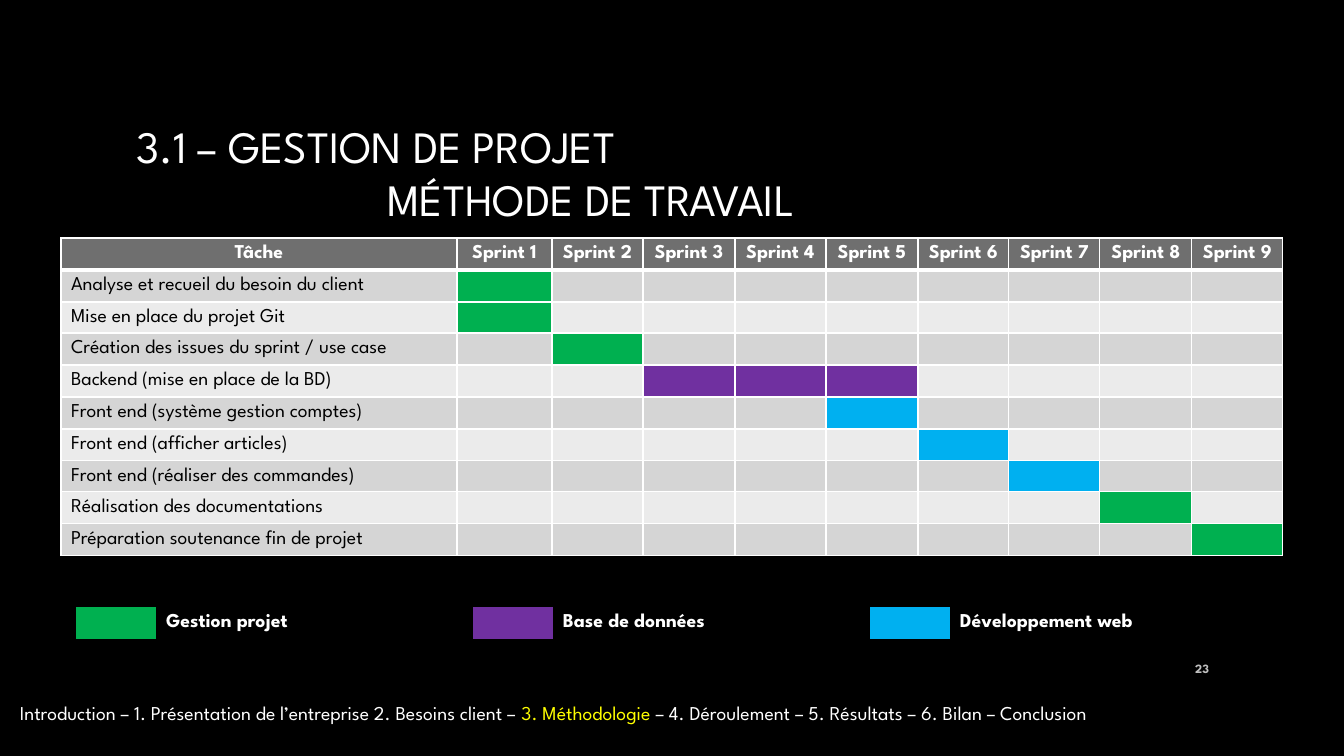
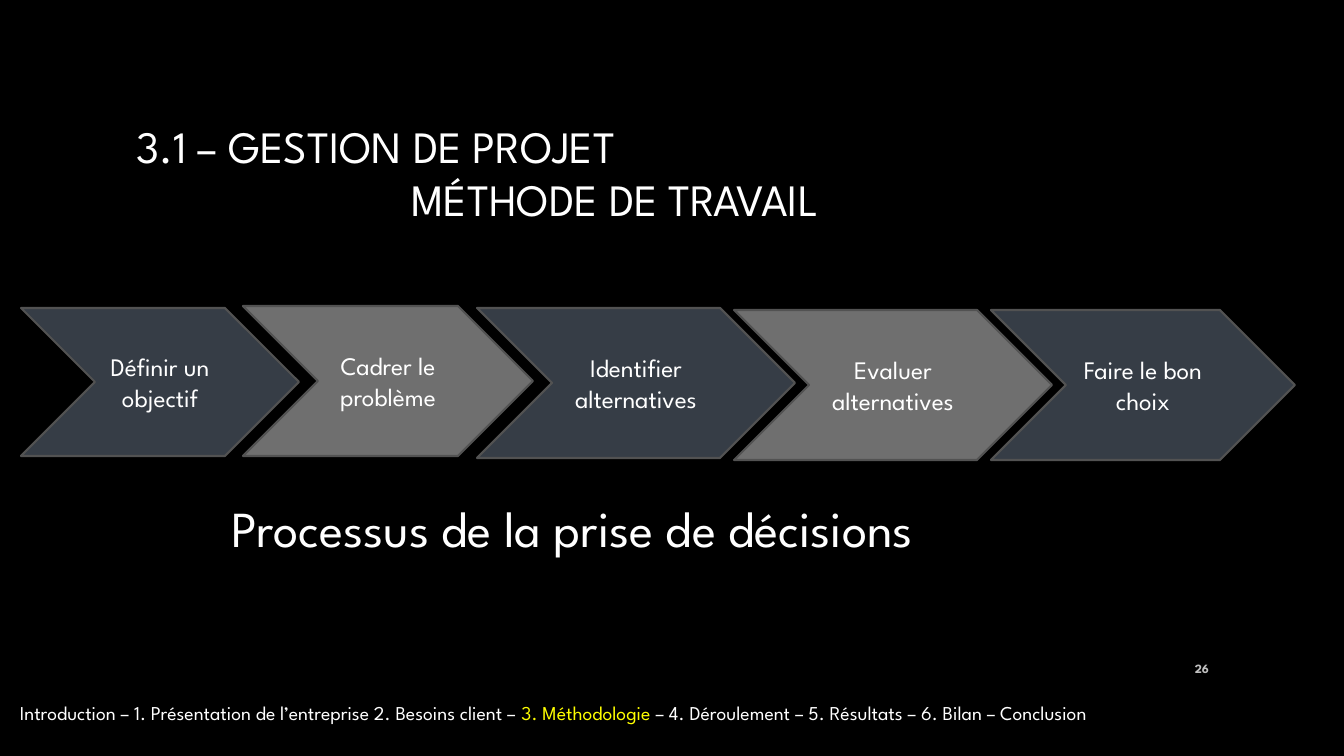
from dataclasses import dataclass

from lxml import etree
from pptx import Presentation
from pptx import util as u
from pptx.dml.color import RGBColor
from pptx.enum import shapes, text
from pptx.oxml.ns import qn

PX = 12700 * 5 / 7  # EMU in one px, at 100.8 px to the inch
WIDTH, HEIGHT = 1344, 756
PLAIN_TABLE = "{2D5ABB26-0587-4C30-8999-92F81FD0307C}"


@dataclass(frozen=True)
class Theme:
    font: str = "League Spartan"
    back: str = "000000"
    light: str = "FFFFFF"
    dark: str = "000000"
    current: str = "FFFF00"
    muted: str = "BFBFBF"
    header: str = "6F6F6F"
    bands: tuple = ("D5D5D5", "EBEBEB")
    steps: tuple = ("363D46", "6F6F6F")
    step_line: str = "525252"
    management: str = "00B050"
    database: str = "7030A0"
    web: str = "00B0F0"
    title_size: int = 32
    caption_size: int = 36
    step_size: int = 18
    text_size: int = 14
    number_size: int = 9


THEME = Theme()
LEFT, CENTER, RIGHT = text.PP_ALIGN.LEFT, text.PP_ALIGN.CENTER, text.PP_ALIGN.RIGHT
TOP, MIDDLE, BOTTOM = (text.MSO_ANCHOR.TOP, text.MSO_ANCHOR.MIDDLE,
                       text.MSO_ANCHOR.BOTTOM)


def px(length):
    return u.Emu(round(length * PX))


def rgb(color):
    return RGBColor.from_string(color)


def split(total, count):
    """Whole px parts that add up to total."""
    edges = [round(total * i / count) for i in range(count + 1)]
    return [end - start for start, end in zip(edges, edges[1:])]


class Deck:
    def __init__(self, theme):
        self.theme = theme
        self.deck = Presentation()
        self.deck.slide_width, self.deck.slide_height = px(WIDTH), px(HEIGHT)
        fill = self.deck.slide_master.background.fill
        fill.solid()
        fill.fore_color.rgb = rgb(theme.back)
        self.page = None

    def new_page(self, number, subtitle_indent):
        self.page = self.deck.slides.add_slide(self.deck.slide_layouts[5])
        self.title(["3.1 – GESTION DE PROJET", "MÉTHODE DE TRAVAIL"], subtitle_indent)
        self.text_box((1159, 648, 60, 40), [(str(number), self.theme.muted)],
                      self.theme.number_size, RIGHT, MIDDLE, bold=True)
        self.text_box((10, 697, 1315, 32), [
            ("Introduction – 1. Présentation de l’entreprise 2. Besoins client – ",
             self.theme.light),
            ("3. Méthodologie ", self.theme.current),
            ("– 4. Déroulement – 5. Résultats – 6. Bilan – Conclusion",
             self.theme.light),
        ], self.theme.text_size, anchor=BOTTOM)

    def add_spans(self, para, spans, size, align=LEFT, bold=False):
        para.alignment = align
        for words, color in spans:
            span = para.add_run()
            span.text = words
            span.font.name = self.theme.font
            span.font.size = u.Pt(size)
            span.font.bold = bold
            span.font.color.rgb = rgb(color)

    def title(self, lines, indent):
        box = self.page.shapes.title
        box.left, box.top, box.width, box.height = map(px, (126, 67, 1092, 210))
        frame = box.text_frame
        frame.vertical_anchor = MIDDLE
        for i, line in enumerate(lines):
            para = frame.add_paragraph() if i else frame.paragraphs[0]
            para._p.get_or_add_pPr().set("marL", str(px(indent * i)))
            self.add_spans(para, [(line, self.theme.light)], self.theme.title_size)

    def text_box(self, area, spans, size, align=LEFT, anchor=TOP, bold=False):
        frame = self.page.shapes.add_textbox(*map(px, area)).text_frame
        frame.word_wrap = True
        frame.vertical_anchor = anchor
        self.add_spans(frame.paragraphs[0], spans, size, align, bold)

    def chevron(self, area, words, color):
        box = self.page.shapes.add_shape(shapes.MSO_SHAPE.CHEVRON, *map(px, area))
        box.shadow.inherit = False
        box.fill.solid()
        box.fill.fore_color.rgb = rgb(color)
        box.line.color.rgb = rgb(self.theme.step_line)
        box.line.width = u.Pt(1.5)
        box.text_frame.word_wrap = True
        box.text_frame.vertical_anchor = MIDDLE
        self.add_spans(box.text_frame.paragraphs[0], [(words, self.theme.light)],
                       self.theme.step_size, CENTER)

    def table(self, left, top, widths, heights):
        frame = self.page.shapes.add_table(
            len(heights), len(widths),
            *map(px, (left, top, sum(widths), sum(heights))))
        table = frame.table
        table.first_row = table.horz_banding = False
        table._tbl.tblPr.find(qn("a:tableStyleId")).text = PLAIN_TABLE
        for column, width in zip(table.columns, widths):
            column.width = px(width)
        for row, height in zip(table.rows, heights):
            row.height = px(height)
        return table

    def cell(self, cell, words="", fill=None, color=None, align=LEFT, bold=False):
        cell.margin_top = cell.margin_bottom = 0
        cell.vertical_anchor = MIDDLE
        if fill:
            cell.fill.solid()
            cell.fill.fore_color.rgb = rgb(fill)
        else:
            cell.fill.background()
        para = cell.text_frame.paragraphs[0]
        if words:
            self.add_spans(para, [(words, color)], self.theme.text_size, align, bold)
        else:
            etree.SubElement(para._p, qn("a:endParaRPr"),
                             sz=str(self.theme.text_size * 100))

    def borders(self, cell, top=1, bottom=1):
        """Draw the four cell borders, with widths in points."""
        properties = cell._tc.get_or_add_tcPr()
        sides = (("L", 1), ("R", 1), ("T", top), ("B", bottom))
        for i, (side, width) in enumerate(sides):
            line = etree.Element(qn(f"a:ln{side}"), w=str(u.Pt(width)))
            fill = etree.SubElement(line, qn("a:solidFill"))
            etree.SubElement(fill, qn("a:srgbClr"), val=self.theme.light)
            properties.insert(i, line)

    def gantt(self, tasks, sprints):
        """Each task is its name, first sprint, last sprint and colour."""
        theme = self.theme
        table = self.table(61, 238, [396, 95] + split(731, sprints - 1),
                           split(318, len(tasks) + 1))
        headings = ["Tâche"] + [f"Sprint {i}" for i in range(1, sprints + 1)]
        for column, heading in enumerate(headings):
            cell = table.cell(0, column)
            self.cell(cell, heading, theme.header, theme.light, CENTER, bold=True)
            self.borders(cell, bottom=3)
        for row, (name, first, last, color) in enumerate(tasks, 1):
            band = theme.bands[(row - 1) % 2]
            for column in range(sprints + 1):
                cell = table.cell(row, column)
                self.cell(cell, "" if column else name,
                          color if first <= column <= last else band, theme.dark)
                self.borders(cell, top=3 if row == 1 else 1)

    def legend(self, entries):
        table = self.table(76, 607, [80, 317] * len(entries), [32])
        for i, (label, color) in enumerate(entries):
            self.cell(table.cell(0, 2 * i), fill=color)
            self.cell(table.cell(0, 2 * i + 1), label, color=self.theme.light,
                      bold=True)


def planning_page(deck):
    theme = deck.theme
    deck.new_page(23, subtitle_indent=251)
    deck.gantt([
        ("Analyse et recueil du besoin du client", 1, 1, theme.management),
        ("Mise en place du projet Git", 1, 1, theme.management),
        ("Création des issues du sprint / use case", 2, 2, theme.management),
        ("Backend (mise en place de la BD)", 3, 5, theme.database),
        ("Front end (système gestion comptes)", 5, 5, theme.web),
        ("Front end (afficher articles)", 6, 6, theme.web),
        ("Front end (réaliser des commandes)", 7, 7, theme.web),
        ("Réalisation des documentations", 8, 8, theme.management),
        ("Préparation soutenance fin de projet", 9, 9, theme.management),
    ], sprints=9)
    deck.legend([
        ("Gestion projet", theme.management),
        ("Base de données", theme.database),
        ("Développement web", theme.web),
    ])


def decision_page(deck):
    theme = deck.theme
    deck.new_page(26, subtitle_indent=275)
    steps = [
        ("Définir un objectif", (21, 308, 278, 148)),
        ("Cadrer le problème", (243, 306, 290, 150)),
        ("Identifier alternatives", (477, 308, 318, 150)),
        ("Evaluer alternatives", (734, 310, 318, 150)),
        ("Faire le bon choix", (991, 310, 304, 150)),
    ]
    for i, (words, area) in enumerate(steps):
        deck.chevron(area, words, theme.steps[i % 2])
    deck.text_box((222, 492, 1110, 72),
                  [("Processus de la prise de décisions", theme.light)],
                  theme.caption_size)


def main():
    deck = Deck(THEME)
    planning_page(deck)
    decision_page(deck)
    deck.deck.save("out.pptx")


if __name__ == "__main__":
    main()
